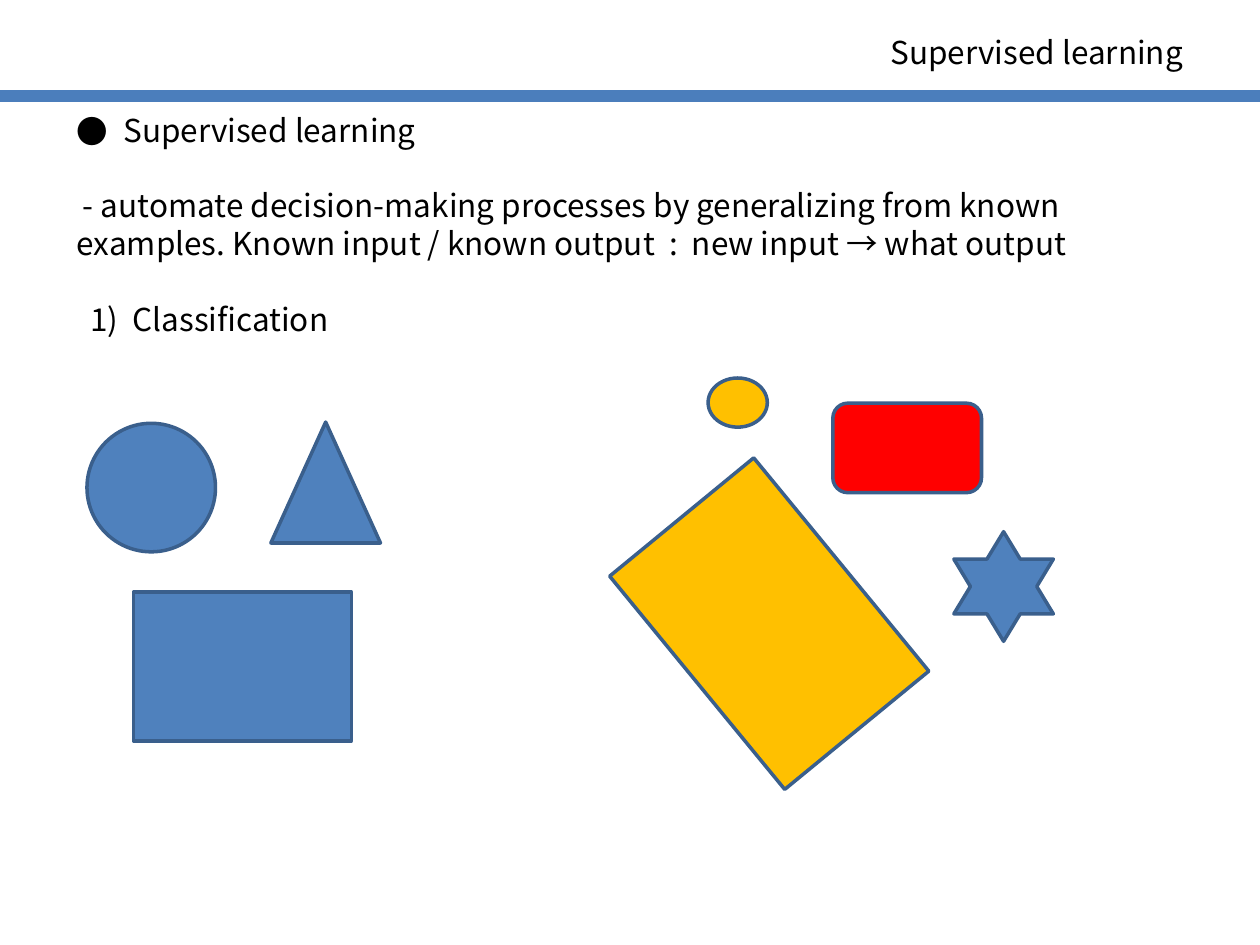
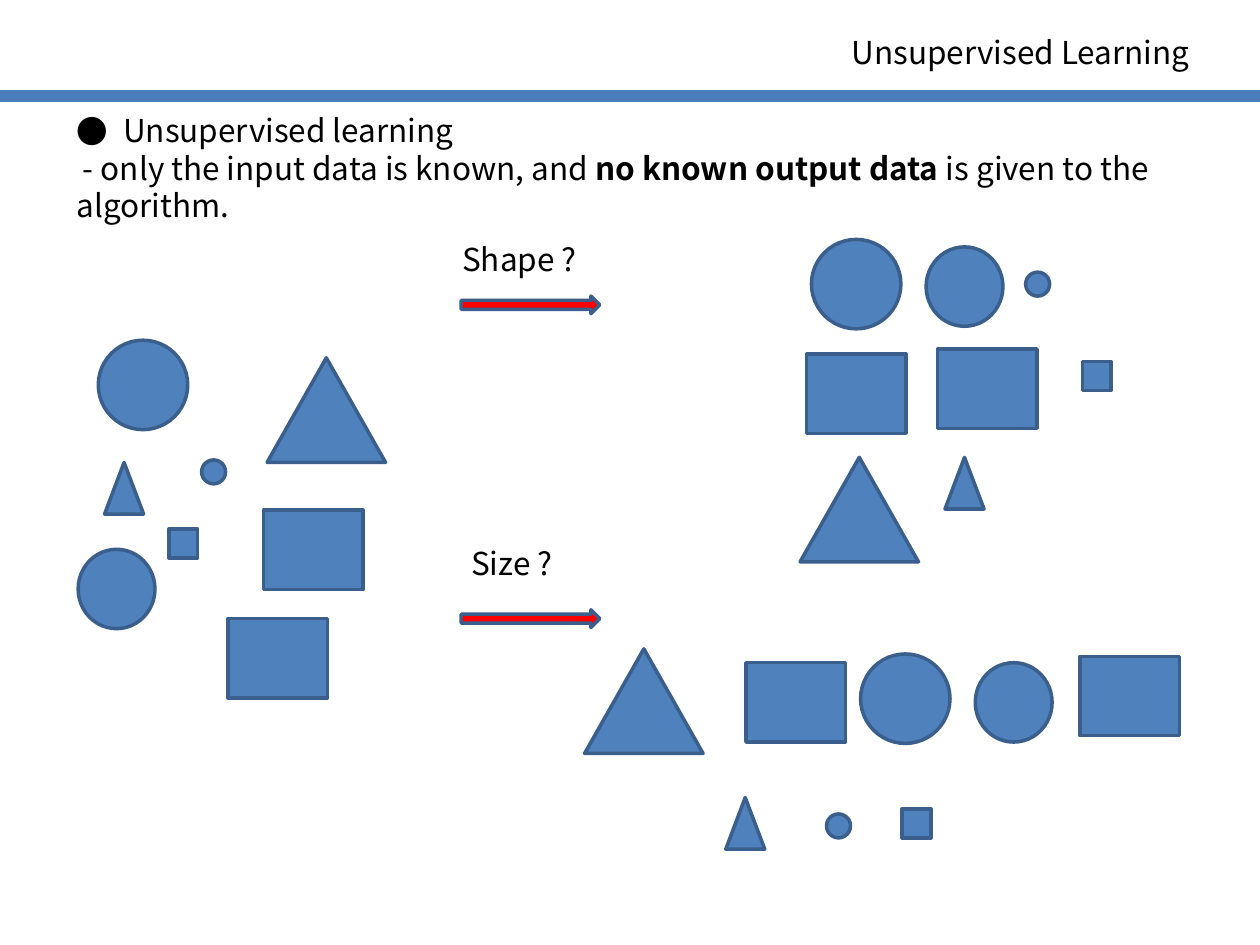
from lxml import etree
from pptx import Presentation
from pptx.dml.color import RGBColor
from pptx.enum.shapes import MSO_CONNECTOR, MSO_SHAPE as SHAPE
from pptx.enum.text import MSO_AUTO_SIZE as AUTO
from pptx.oxml.ns import qn
from pptx.util import Inches, Pt

# Shared style
COLORS = {"band": "4B7EBC", "blue": "4F81BD", "edge": "3A5F8C",
          "gold": "FFC000", "red": "FF0000", "text": "000000"}
FONT = "Noto Sans CJK KR"
SIZE = 18
LINE = 21.6  # line height in points
RIGHT = 9.71  # right edge of the title boxes

# Paragraphs: runs of (text, bold), then bullet, first-line indent, blank lines above
SUPERVISED_TEXT = [
    dict(runs=[("Supervised learning", False)], bullet=True),
    dict(runs=[("- automate decision-making processes by generalizing from known "
                "examples. Known input / known output  :  new input → what output",
                False)], indent=0.05, gap=1),
    dict(runs=[("1)  Classification", False)], indent=0.11, gap=1),
]
UNSUPERVISED_TEXT = [
    dict(runs=[("Unsupervised learning", False)], bullet=True),
    dict(runs=[("- only the input data is known, and ", False),
               ("no known output data ", True),
               ("is given to the algorithm.", False)], indent=0.05),
]

# Classification samples: preset, left, top, width, height, fill, rotation
SAMPLES = [
    (SHAPE.OVAL, 0.69, 3.36, 1.02, 1.02, "blue", 0),
    (SHAPE.RECTANGLE, 1.06, 4.7, 1.73, 1.18, "blue", 0),
    (SHAPE.ISOSCELES_TRIANGLE, 2.15, 3.35, 0.87, 0.96, "blue", 0),
    (SHAPE.OVAL, 5.62, 3, 0.47, 0.39, "gold", 0),
    (SHAPE.RECTANGLE, 5.01, 4.21, 2.19, 1.48, "gold", 50.6),
    (SHAPE.ROUNDED_RECTANGLE, 6.61, 3.2, 1.18, 0.71, "red", 0),
    (SHAPE.STAR_6_POINT, 7.57, 4.22, 0.79, 0.87, "blue", 0),
]

# Clustering items: preset, width, height
ITEMS = {
    "big circle": (SHAPE.OVAL, 0.71, 0.71),
    "medium circle": (SHAPE.OVAL, 0.61, 0.63),
    "small circle": (SHAPE.OVAL, 0.19, 0.19),
    "box A": (SHAPE.RECTANGLE, 0.79, 0.63),
    "small box": (SHAPE.RECTANGLE, 0.23, 0.23),
    "box B": (SHAPE.RECTANGLE, 0.79, 0.63),
    "big triangle": (SHAPE.ISOSCELES_TRIANGLE, 0.94, 0.83),
    "small triangle": (SHAPE.ISOSCELES_TRIANGLE, 0.31, 0.41),
}
# Left and top of each item, in the order of ITEMS
GROUPINGS = {
    "input": [(0.78, 2.7), (0.62, 4.36), (1.6, 3.65), (2.09, 4.05),
              (1.34, 4.2), (1.81, 4.91), (2.12, 2.84), (0.83, 3.67)],
    "by shape": [(6.44, 1.9), (7.35, 1.96), (8.14, 2.16), (6.4, 2.81),
                 (8.59, 2.87), (7.44, 2.77), (6.35, 3.63), (7.5, 3.63)],
    "by size": [(6.83, 5.19), (7.74, 5.26), (6.56, 6.46), (5.92, 5.26),
                (7.16, 6.42), (8.57, 5.21), (4.64, 5.15), (5.76, 6.33)],
}
# Questions: text, left, top, width, top of the arrow below
QUESTIONS = [("Shape ?", 3.57, 1.86, 1.11, 2.35),
             ("Size ?", 3.64, 4.27, 0.86, 4.84)]


def rgb(name):
    return RGBColor.from_string(COLORS[name])


def add_run(p, text, bold=False):
    r = p.add_run()
    r.text = text
    r.font.name, r.font.size, r.font.bold = FONT, Pt(SIZE), bold
    r.font.color.rgb = rgb("text")
    ea = etree.SubElement(r._r.get_or_add_rPr(), qn("a:ea"))
    ea.set("typeface", FONT)


def set_indent(p, left, first):
    pPr = p._p.get_or_add_pPr()
    pPr.set("marL", str(Inches(left)))
    pPr.set("indent", str(Inches(first)))
    return pPr


def add_text(s, content, left, top, width, height=0.4, wrap=True):
    """Add a text box from a string or a list of paragraph dicts."""
    tf = s.shapes.add_textbox(Inches(left), Inches(top),
                              Inches(width), Inches(height)).text_frame
    tf.word_wrap = wrap
    tf.auto_size = AUTO.SHAPE_TO_FIT_TEXT
    if isinstance(content, str):
        content = [dict(runs=[(content, False)])]
    for i, para in enumerate(content):
        p = tf.add_paragraph() if i else tf.paragraphs[0]
        p.line_spacing = Pt(LINE)
        p.space_before = Pt(LINE * para.get("gap", 0))
        if para.get("bullet"):
            pPr = set_indent(p, 0.37, -0.37)
            etree.SubElement(pPr, qn("a:buFont")).set("typeface", FONT)
            etree.SubElement(pPr, qn("a:buChar")).set("char", "●")
        else:
            set_indent(p, 0, para.get("indent", 0))
        for text, bold in para["runs"]:
            add_run(p, text, bold)


def add_figure(s, preset, left, top, width, height, fill="blue", rotation=0):
    sp = s.shapes.add_shape(preset, Inches(left), Inches(top),
                            Inches(width), Inches(height))
    sp.shadow.inherit = False
    sp.rotation = rotation
    sp.fill.solid()
    sp.fill.fore_color.rgb = rgb(fill)
    sp.line.color.rgb = rgb("edge")
    sp.line.width = Pt(2)


def add_slide(prs, title, title_width, body, body_height):
    """Add a slide with the band, the body text and the title."""
    s = prs.slides.add_slide(prs.slide_layouts[6])
    band = s.shapes.add_connector(MSO_CONNECTOR.STRAIGHT, 0, Inches(0.76),
                                  prs.slide_width, Inches(0.76))
    band.line.color.rgb = rgb("band")
    band.line.width = Pt(7)
    etree.SubElement(band._element.spPr, qn("a:effectLst"))
    add_text(s, body, 0.51, 0.83, 8.82, body_height)
    add_text(s, title, RIGHT - title_width, 0.21, title_width)
    return s


def main():
    prs = Presentation()
    prs.slide_width, prs.slide_height = Inches(10), Inches(7.5)

    # Supervised learning
    s = add_slide(prs, "Supervised learning", 2.74, SUPERVISED_TEXT, 1.9)
    for sample in SAMPLES:
        add_figure(s, *sample)

    # Unsupervised learning
    s = add_slide(prs, "Unsupervised Learning", 3.05, UNSUPERVISED_TEXT, 1)
    for places in GROUPINGS.values():
        for (preset, width, height), (left, top) in zip(ITEMS.values(), places):
            add_figure(s, preset, left, top, width, height)
    for text, left, top, width, arrow_top in QUESTIONS:
        add_figure(s, SHAPE.RIGHT_ARROW, 3.66, arrow_top, 1.1, 0.14, "red")
        add_text(s, text, left, top, width, wrap=False)

    prs.save("out.pptx")


if __name__ == "__main__":
    main()
